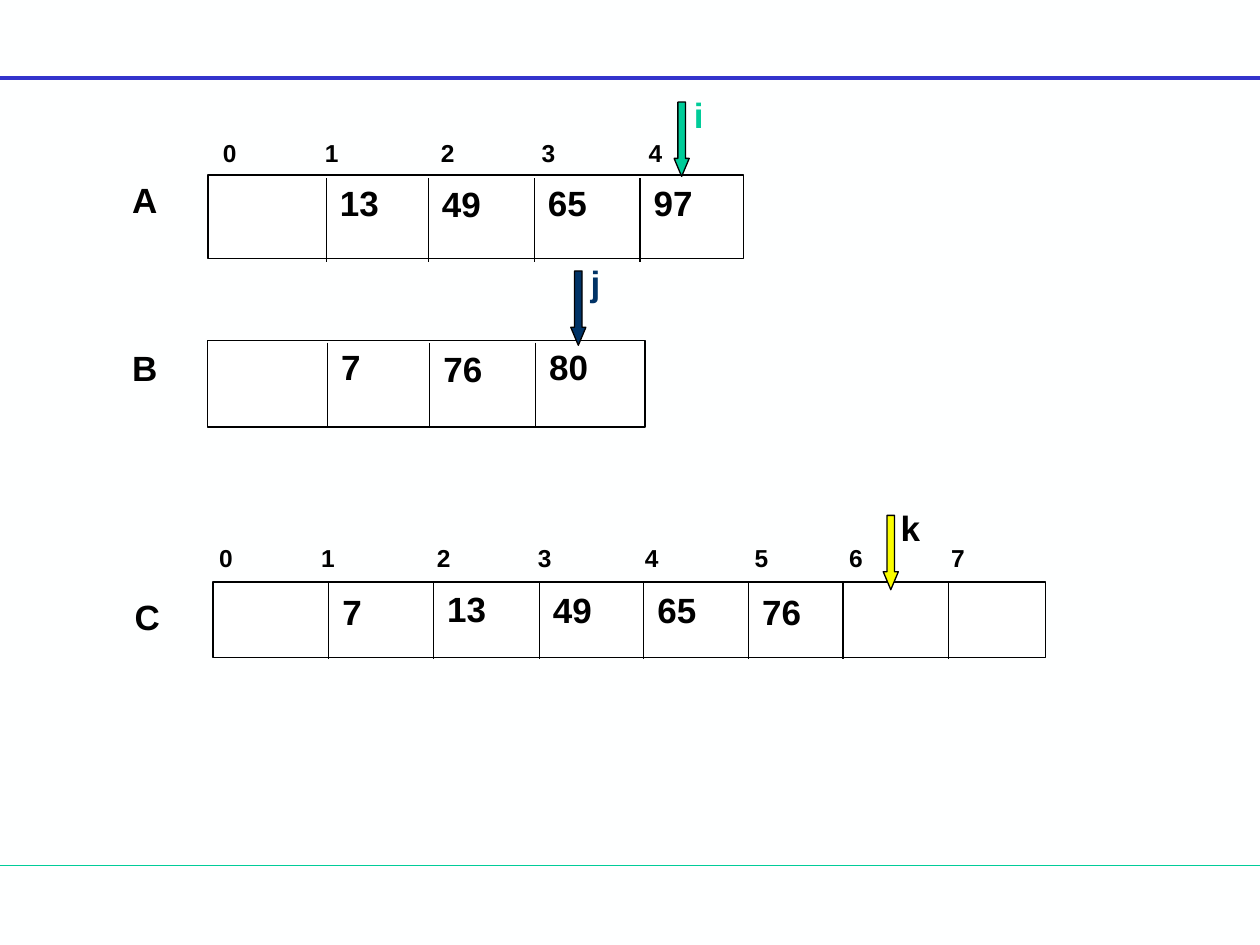
from lxml.etree import SubElement
from pptx import Presentation
from pptx.dml.color import RGBColor
from pptx.enum.shapes import MSO_CONNECTOR, MSO_SHAPE
from pptx.enum.text import MSO_AUTO_SIZE
from pptx.oxml.ns import qn
from pptx.util import Inches, Pt

BLACK = RGBColor(0x00, 0x00, 0x00)
WHITE = RGBColor(0xFF, 0xFF, 0xFF)
PAPER = RGBColor(0xFE, 0xFF, 0xFF)
BLUE = RGBColor(0x33, 0x33, 0xCC)
GREEN = RGBColor(0x00, 0xCC, 0x99)
NAVY = RGBColor(0x00, 0x33, 0x66)
YELLOW = RGBColor(0xFA, 0xFD, 0x00)

prs = Presentation()
prs.slide_width, prs.slide_height = Inches(10), Inches(7.5)
COL = prs.slide_width // 100
ROW = prs.slide_height // 75
s = prs.slides.add_slide(prs.slide_layouts[6])
s.background.fill.solid()
s.background.fill.fore_color.rgb = PAPER


def add_text(text, x, y, w, h=4.4, size=20, color=BLACK, tabs=()):
    tf = s.shapes.add_textbox(int(x * COL), int(y * ROW), int(w * COL), int(h * ROW)).text_frame
    frame = {"word_wrap": True, "auto_size": MSO_AUTO_SIZE.SHAPE_TO_FIT_TEXT}
    for name, value in frame.items():
        setattr(tf, name, value)
    p = tf.paragraphs[0]
    if tabs:
        tab_list = SubElement(p._p.get_or_add_pPr(), qn("a:tabLst"))
        for tab in tabs:
            SubElement(tab_list, qn("a:tab"), pos=str(int(tab * COL)), algn="l")
    r = p.add_run()
    r.text = text
    for name, value in {"name": "Arial", "size": Pt(size), "bold": True}.items():
        setattr(r.font, name, value)
    r.font.color.rgb = color


def add_line(x1, y1, x2, y2, color=BLACK, width=0.75):
    line = s.shapes.add_connector(
        MSO_CONNECTOR.STRAIGHT, int(x1 * COL), int(y1 * ROW), int(x2 * COL), int(y2 * ROW))
    line.line.color.rgb = color
    line.line.width = Pt(width)
    SubElement(line._element.spPr, qn("a:effectLst"))


add_line(0, 68.7, 100, 68.7, GREEN)
add_line(0, 6.2, 100, 6.2, BLUE, 2.25)

INDEX_TABS = [8.1, 17.3, 25.3, 33.8, 42.5, 50, 58.1]
for count, x, y, w in [(5, 16.7, 10.5, 42.5), (8, 16.4, 42.6, 66.6)]:
    add_text("\t".join(str(i) for i in range(count)), x, y, w, 3.4, 14,
             tabs=INDEX_TABS[:count - 1])

arrays = [
    ("A", (9.5, 13.7), (16.5, 13.9, 42.5, 6.6), (14.15, 20.8), [25.9, 34, 42.4, 50.8],
     [("13", 13.9), ("49", 14), ("65", 13.9), ("97", 13.9)]),
    ("B", (9.5, 27), (16.5, 27, 34.7, 6.9), (27.2, 33.85), [26, 34.1, 42.5],
     [("7", 26.9), ("76", 27.1), ("80", 26.9)]),
    ("C", (9.7, 46.8), (16.9, 46.2, 66.1, 6), (46.2, 52.3),
     [26.1, 34.4, 42.8, 51.1, 59.4, 66.9, 75.3],
     [("7", 46.4), ("13", 46.1), ("49", 46.2), ("65", 46.2), ("76", 46.4)]),
]
for label, label_at, (x, y, w, h), (top, bottom), dividers, values in arrays:
    add_text(label, *label_at, 6.7)
    sp = s.shapes.add_shape(
        MSO_SHAPE.RECTANGLE, int(x * COL), int(y * ROW), int(w * COL), int(h * ROW))
    sp.shadow.inherit = False
    sp.fill.solid()
    sp.fill.fore_color.rgb = WHITE
    sp.line.color.rgb = BLACK
    sp.line.width = Pt(0.75)
    for divider in dividers:
        add_line(divider, top, divider, bottom)
    for divider, (value, value_top) in zip(dividers, values):
        add_text(value, divider + 0.1, value_top, 6.7)

pointers = [
    ("i", 53.5, 8.1, 54.1, GREEN, GREEN),
    ("j", 45.3, 21.5, 45.9, NAVY, NAVY),
    ("k", 70.1, 40.9, 70.5, YELLOW, BLACK),
]
for name, x, y, text_x, fill, color in pointers:
    sp = s.shapes.add_shape(
        MSO_SHAPE.DOWN_ARROW, int(x * COL), int(y * ROW), int(1.2 * COL), int(5.9 * ROW))
    sp.adjustments[0] = 0.5
    sp.adjustments[1] = 1.19
    sp.shadow.inherit = False
    sp.fill.solid()
    sp.fill.fore_color.rgb = fill
    sp.line.color.rgb = BLACK
    sp.line.width = Pt(0.75)
    add_text(name, text_x, y - 1.2, 5.3, color=color)

prs.save("out.pptx")
